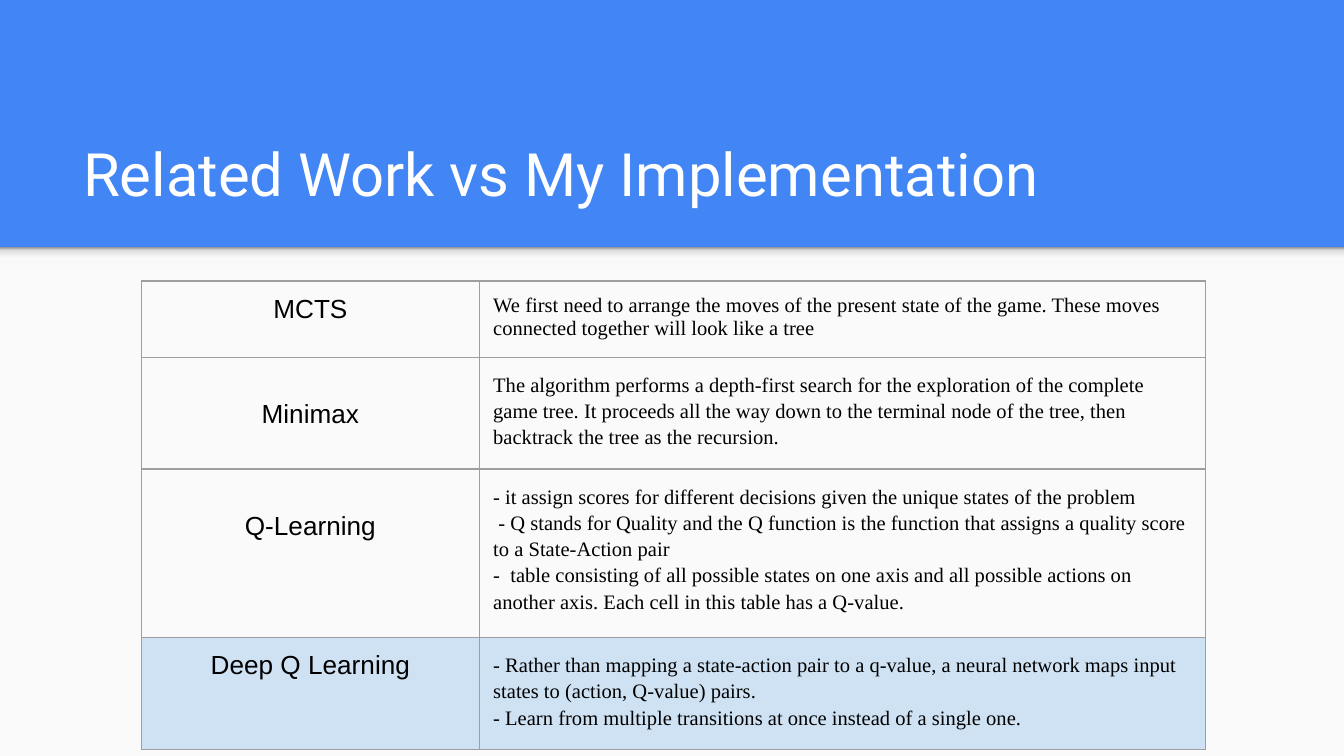
from lxml import etree
from pptx import Presentation
from pptx.dml.color import RGBColor
from pptx.enum.shapes import MSO_SHAPE
from pptx.enum.text import MSO_ANCHOR, PP_ALIGN
from pptx.oxml.ns import qn
from pptx.util import Inches, Pt

RECTANGLE = MSO_SHAPE.RECTANGLE
BOTTOM = MSO_ANCHOR.BOTTOM
LEFT, CENTER = PP_ALIGN.LEFT, PP_ALIGN.CENTER

THEME = {
    "header": "4285F4",
    "body": "FAFAFA",
    "shade": [(0, "F9F9F9"), (36, "F9F9F9"), (80, "DEDEDE"), (100, "999999")],
    "border": "9E9E9E",
    "border_width": 0.75,
    "highlight": "CFE2F3",
    "title": ("Roboto", 32, "FFFFFF"),
    "method": ("Arial", 14, "000000"),
    "detail": ("Times New Roman", 11, "000000"),
}

SLIDE_WIDTH = 10
SLIDE_HEIGHT = SLIDE_WIDTH * 9 / 16
HEADER_HEIGHT = 1.84
SHADE_HEIGHT = 0.12
TABLE_LEFT, TABLE_TOP = 1.05, 2.09
COLUMN_WIDTHS = (2.52, 5.4)
ROW_HEIGHT = 0.42
MARGIN = 0.1
LINE_DROP = 0.22

TITLE = "Related Work vs My Implementation"
METHODS = [
    {
        "name": "MCTS",
        "details": [
            "We first need to arrange the moves of the present state of the game. "
            "These moves connected together will look like a tree",
        ],
        "spacing": 1.0, "drop": 0, "highlight": False,
    },
    {
        "name": "Minimax",
        "details": [
            "The algorithm performs a depth-first search for the exploration of the "
            "complete game tree. It proceeds all the way down to the terminal node of "
            "the tree, then backtrack the tree as the recursion.",
        ],
        "spacing": 1.15, "drop": LINE_DROP, "highlight": False,
    },
    {
        "name": "Q-Learning",
        "details": [
            "- it assign scores for different decisions given the unique states of the problem",
            " - Q stands for Quality and the Q function is the function that assigns "
            "a quality score to a State-Action pair",
            "-  table consisting of all possible states on one axis and all possible "
            "actions on another axis. Each cell in this table has a Q-value.",
        ],
        "spacing": 1.15, "drop": LINE_DROP, "highlight": False,
    },
    {
        "name": "Deep Q Learning",
        "details": [
            "- Rather than mapping a state-action pair to a q-value, a neural network "
            "maps input states to (action, Q-value) pairs.",
            "- Learn from multiple transitions at once instead of a single one.",
        ],
        "spacing": 1.15, "drop": 0, "highlight": True,
    },
]


def write(frame, lines, style, align=LEFT, spacing=1.0):
    font_name, size, color = THEME[style]
    frame.text = "\n".join(lines)
    frame.word_wrap = True
    for para in frame.paragraphs:
        para.alignment = align
        para.line_spacing = spacing
        for span in para.runs:
            span.font.name = font_name
            span.font.size = Pt(size)
            span.font.color.rgb = RGBColor.from_string(color)


def set_margins(holder, top=MARGIN):
    holder.margin_left = holder.margin_right = holder.margin_bottom = Inches(MARGIN)
    holder.margin_top = Inches(top)


def add_band(page, top, height):
    band = page.shapes.add_shape(
        RECTANGLE, 0, Inches(top), Inches(SLIDE_WIDTH), Inches(height))
    band.shadow.inherit = False
    band.line.fill.background()
    return band


def shade(band, stops):
    band.fill.gradient()
    band.fill.gradient_angle = 90
    stop_list = next(band.element.iter(qn("a:gsLst")))
    for stop in list(stop_list):
        stop_list.remove(stop)
    for position, color in stops:
        stop = etree.SubElement(stop_list, qn("a:gs"), pos=str(position * 1000))
        etree.SubElement(stop, qn("a:srgbClr"), val=color)


def add_borders(cell):
    properties = cell._tc.get_or_add_tcPr()
    width = str(Pt(THEME["border_width"]))
    for side in ("lnL", "lnR", "lnT", "lnB"):
        line = etree.SubElement(properties, qn(f"a:{side}"), w=width)
        fill = etree.SubElement(line, qn("a:solidFill"))
        etree.SubElement(fill, qn("a:srgbClr"), val=THEME["border"])


def style_cell(cell, highlighted, top=MARGIN):
    set_margins(cell, top)
    add_borders(cell)
    if highlighted:
        cell.fill.solid()
        cell.fill.fore_color.rgb = RGBColor.from_string(THEME["highlight"])
    else:
        cell.fill.background()


def add_method_table(page):
    table = page.shapes.add_table(
        len(METHODS), len(COLUMN_WIDTHS), Inches(TABLE_LEFT), Inches(TABLE_TOP),
        Inches(sum(COLUMN_WIDTHS)), Inches(ROW_HEIGHT * len(METHODS))).table
    table.first_row = table.horz_banding = False
    for column, width in zip(table.columns, COLUMN_WIDTHS):
        column.width = Inches(width)
    for row, method in zip(table.rows, METHODS):
        name_cell, detail_cell = row.cells
        style_cell(name_cell, method["highlight"], MARGIN + method["drop"])
        style_cell(detail_cell, method["highlight"])
        write(name_cell.text_frame, [method["name"]], "method", CENTER)
        write(detail_cell.text_frame, method["details"], "detail",
              spacing=method["spacing"])


def main():
    deck = Presentation()
    deck.slide_width, deck.slide_height = Inches(SLIDE_WIDTH), Inches(SLIDE_HEIGHT)
    page = deck.slides.add_slide(deck.slide_layouts[6])
    page.background.fill.solid()
    page.background.fill.fore_color.rgb = RGBColor.from_string(THEME["header"])

    body = add_band(page, HEADER_HEIGHT, SLIDE_HEIGHT - HEADER_HEIGHT)
    body.fill.solid()
    body.fill.fore_color.rgb = RGBColor.from_string(THEME["body"])
    shade(add_band(page, HEADER_HEIGHT, SHADE_HEIGHT), THEME["shade"])

    title = page.shapes.add_textbox(
        Inches(0.52), Inches(0.81), Inches(8.99), Inches(0.84)).text_frame
    set_margins(title)
    title.vertical_anchor = BOTTOM
    write(title, [TITLE], "title")

    add_method_table(page)
    deck.save("out.pptx")


if __name__ == "__main__":
    main()
